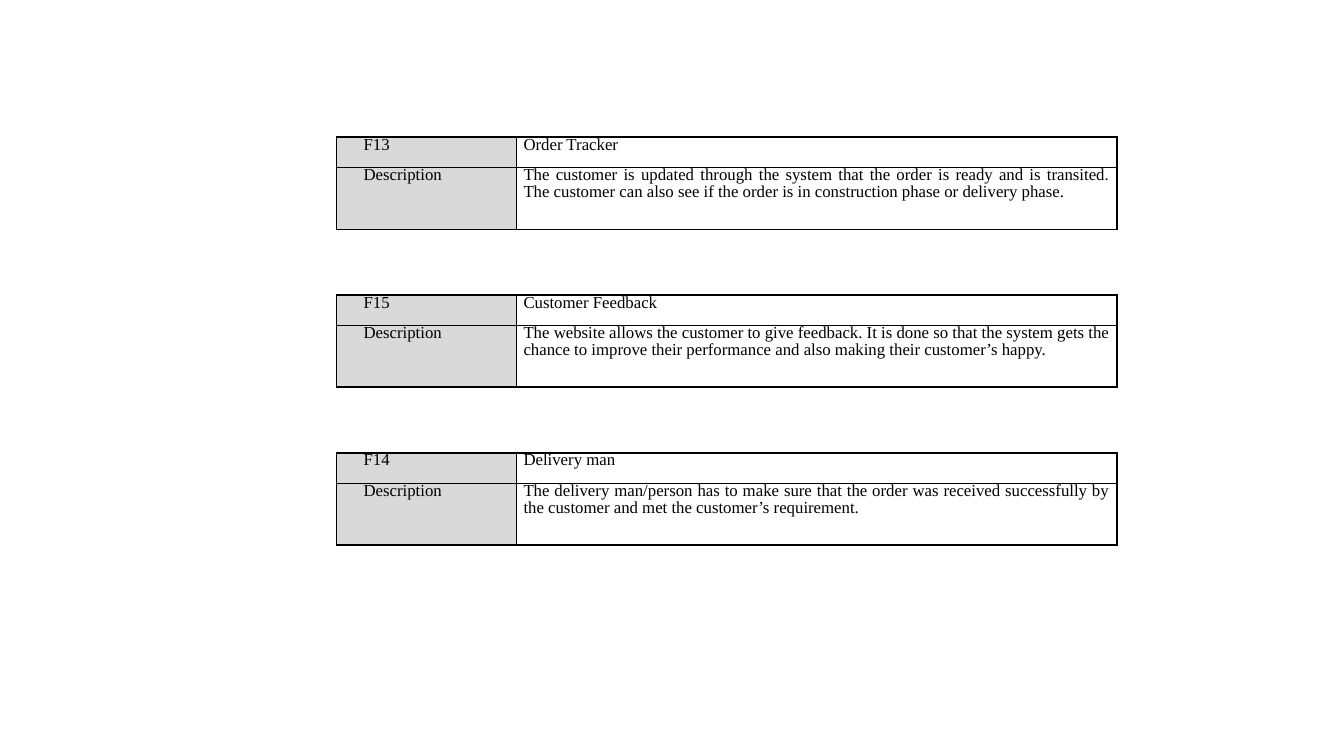
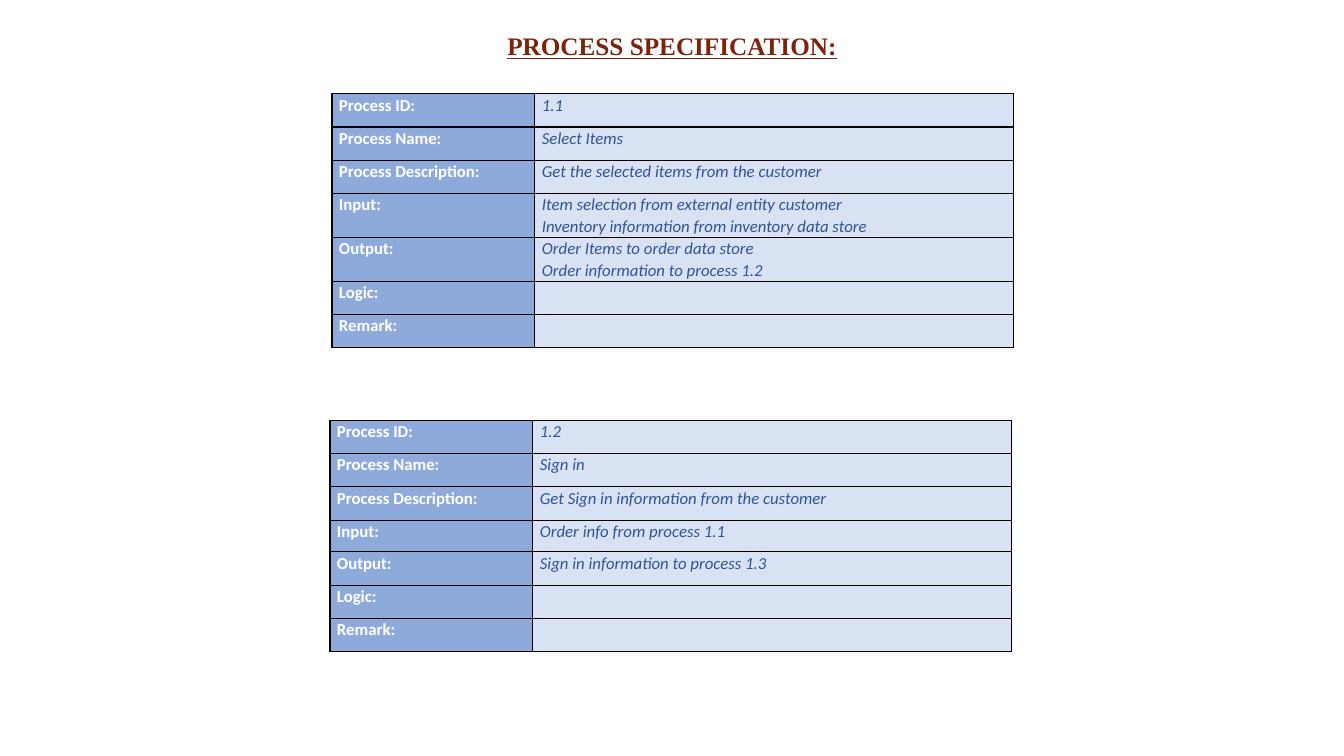
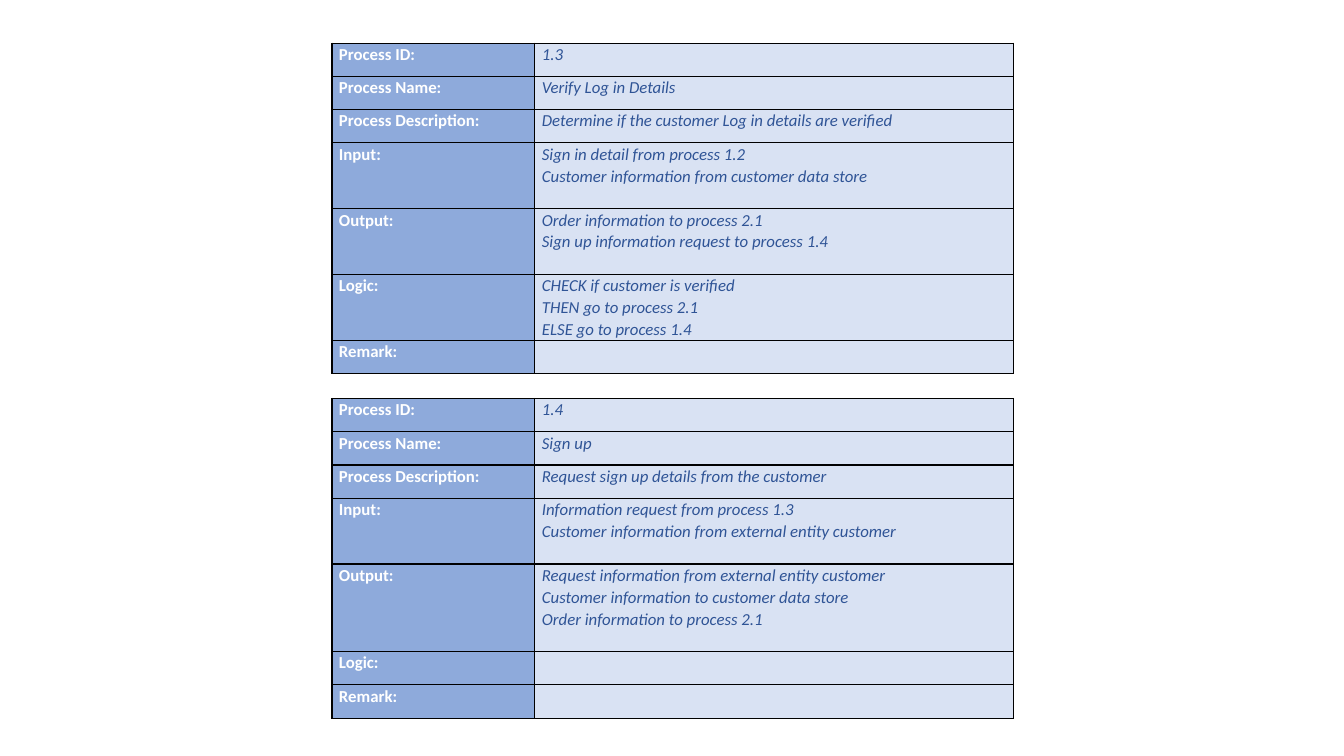
from pptx import Presentation
from pptx.dml.color import RGBColor
from pptx.enum.text import MSO_ANCHOR, PP_ALIGN
from pptx.oxml.ns import qn
from pptx.util import Inches, Pt
from lxml import etree

JUST, LEFT, MID = PP_ALIGN.JUSTIFY, PP_ALIGN.LEFT, PP_ALIGN.CENTER
CENTER = MSO_ANCHOR.MIDDLE
TITLE_ONLY, BLANK = 5, 6

WIDE, HIGH = 13.33, 7.5
COLORS = {
    "ink": "000000", "gray": "D9D9D9", "rust": "7B230B",
    "white": "FFFFFF", "head": "8EAADB", "pale": "D9E2F3", "navy": "2F5496",
}
SERIF, SANS = "Times New Roman", "Calibri"

# Shares of the slide, in percent
CARD_COLS, CARD_ROWS = [13.4, 44.7], [4.05, 8.15]
CARD_LEFT, CARD_TOP, CARD_STEP = 25.03, 18.15, 20.87
PROC_COLS = [15.1, 35.6]
PROC_ROWS = [4.4, 4.4, 4.4, 4.2, 4.4, 4.4, 4.4]
LINE = 2.9

LABELS = ["Process ID:", "Process Name:", "Process Description:",
          "Input:", "Output:", "Logic:", "Remark:"]
CARDS = [
    ("F13", "Order Tracker",
     "The customer is updated through the system that the order is ready and "
     "is transited. The customer can also see if the order is in construction "
     "phase or delivery phase. "),
    ("F15", "Customer Feedback",
     "The website allows the customer to give feedback. It is done so that "
     "the system gets the chance to improve their performance and also making "
     "their customer’s happy."),
    ("F14", "Delivery man",
     "The delivery man/person has to make sure that the order was received "
     "successfully by the customer and met the customer’s requirement."),
]
SELECT = ["1.1", "Select Items", "Get the selected items from the customer",
          "Item selection from external entity customer\n"
          "Inventory information from inventory data store",
          "Order Items to order data store\nOrder information to process 1.2",
          "", ""]
SIGN_IN = ["1.2", "Sign in", "Get Sign in information from the customer",
           "Order info from process 1.1", "Sign in information to process 1.3",
           "", ""]
VERIFY = ["1.3", "Verify Log in Details",
          "Determine if the customer Log in details are verified",
          "Sign in detail from process 1.2\n"
          "Customer information from customer data store",
          "Order information to process 2.1\n"
          "Sign up information request to process 1.4",
          "CHECK if customer is verified\nTHEN go to process 2.1\n"
          "ELSE go to process 1.4", ""]
SIGN_UP = ["1.4", "Sign up", "Request sign up details from the customer",
           "Information request from process 1.3\n"
           "Customer information from external entity customer",
           "Request information from external entity customer\n"
           "Customer information to customer data store\n"
           "Order information to process 2.1", "", ""]


def across(share):
    return Inches(WIDE * share / 100)


def down(share):
    return Inches(HIGH * share / 100)


def paint(run, font, size, color, bold=False, italic=False):
    run.font.name, run.font.size = font, Pt(size)
    run.font.bold, run.font.italic = bold, italic
    run.font.color.rgb = RGBColor.from_string(COLORS[color])


def border(cell, widths):
    """Draw the sides of a cell; widths maps L, R, T and B to points."""
    props = cell._tc.get_or_add_tcPr()
    for side in "LRTB":
        line = etree.SubElement(props, qn("a:ln" + side), w=str(Pt(widths[side])))
        fill = etree.SubElement(line, qn("a:solidFill"))
        etree.SubElement(fill, qn("a:srgbClr"), val=COLORS["ink"])


def write(cell, text, align, space, after, indent, **style):
    cell.margin_left = cell.margin_right = Inches(0.07)
    cell.margin_top = cell.margin_bottom = 0
    cell.text_frame.text = text
    for para in cell.text_frame.paragraphs:
        para.alignment, para.line_spacing = align, space
        para.space_after = Pt(after)
        if indent:
            props = para._p.get_or_add_pPr()
            props.set("marL", str(Inches(indent)))
            props.set("indent", "0")
        for run in para.runs:
            paint(run, size=12, **style)


def grid(slide, left, top, cols, rows, edge):
    """Add a plain two-column table whose outer border is edge points wide."""
    frame = slide.shapes.add_table(len(rows), len(cols), across(left), down(top),
                                   across(sum(cols)), down(sum(rows)))
    table = frame.table
    table.first_row = table.horz_banding = False
    for col, share in zip(table.columns, cols):
        col.width = across(share)
    for row, share in zip(table.rows, rows):
        row.height = down(share)
    for r in range(len(rows)):
        for c in range(len(cols)):
            outer = {"L": c == 0, "R": c == len(cols) - 1,
                     "T": r == 0, "B": r == len(rows) - 1}
            border(table.cell(r, c),
                   {side: edge if out else 1 for side, out in outer.items()})
    return table


def shade(cell, color):
    cell.fill.solid()
    cell.fill.fore_color.rgb = RGBColor.from_string(COLORS[color])


def card(slide, top, code, name, about):
    table = grid(slide, CARD_LEFT, top, CARD_COLS, CARD_ROWS, 1.5)
    for r, pair in enumerate([(code, name), ("Description", about)]):
        for c, text in enumerate(pair):
            cell = table.cell(r, c)
            write(cell, text, JUST, Pt(12), 6, 0 if c else 0.2,
                  font=SERIF, color="ink")
            if c:
                cell.fill.background()
            else:
                shade(cell, "gray")


def process(slide, left, top, values, spare=0):
    """Add a process table; spare lines are left free below input and output."""
    rows = []
    for label, text, least in zip(LABELS, values, PROC_ROWS):
        free = spare if label in ("Input:", "Output:") else 0
        rows.append(max(least, LINE * (text.count("\n") + 1 + free)))
    table = grid(slide, left, top, PROC_COLS, rows, 1)
    for r, (label, text) in enumerate(zip(LABELS, values)):
        head, body = table.cell(r, 0), table.cell(r, 1)
        write(head, label, LEFT, 1.07, 0, 0, font=SANS, color="white", bold=True)
        write(body, text, LEFT, 1.07, 0, 0, font=SANS, color="navy", italic=True)
        shade(head, "head")
        shade(body, "pale")


def heading(slide, text):
    title = slide.shapes.title
    title.left, title.top = across(36.8), down(3.2)
    title.width, title.height = across(26.4), down(5.35)
    frame = title.text_frame
    frame.text = text
    frame.word_wrap, frame.vertical_anchor = False, CENTER
    para = frame.paragraphs[0]
    para.alignment, para.line_spacing = MID, 1.07
    para.space_before = Pt(12)
    paint(para.runs[0], SERIF, 18, "rust", bold=True)
    para.runs[0].font.underline = True


def main():
    deck = Presentation()
    deck.slide_width, deck.slide_height = Inches(WIDE), Inches(HIGH)
    layouts = deck.slide_layouts

    slide = deck.slides.add_slide(layouts[BLANK])
    for i, item in enumerate(CARDS):
        card(slide, CARD_TOP + i * CARD_STEP, *item)

    slide = deck.slides.add_slide(layouts[TITLE_ONLY])
    heading(slide, "PROCESS SPECIFICATION:")
    process(slide, 24.7, 12.4, SELECT)
    process(slide, 24.55, 55.6, SIGN_IN)

    slide = deck.slides.add_slide(layouts[BLANK])
    process(slide, 24.7, 5.7, VERIFY, spare=1)
    process(slide, 24.7, 52.7, SIGN_UP, spare=1)

    deck.save("out.pptx")


if __name__ == "__main__":
    main()
